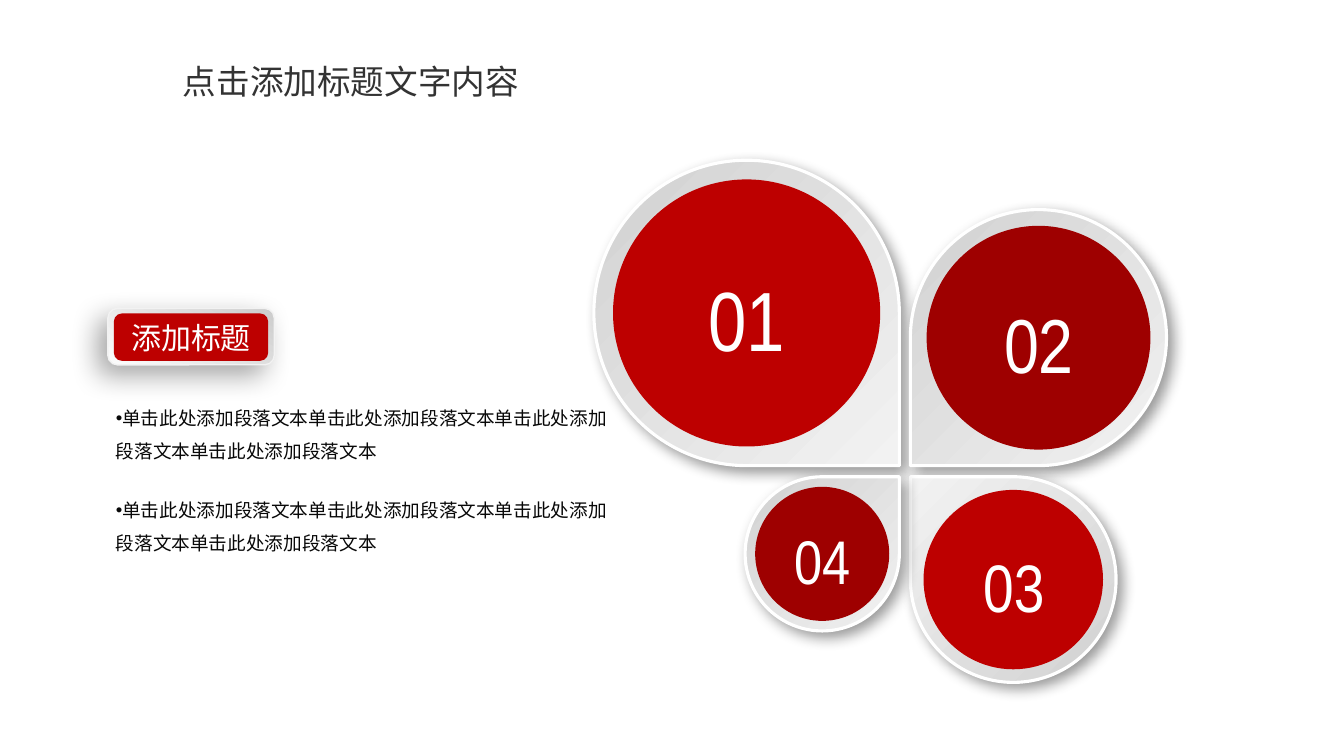
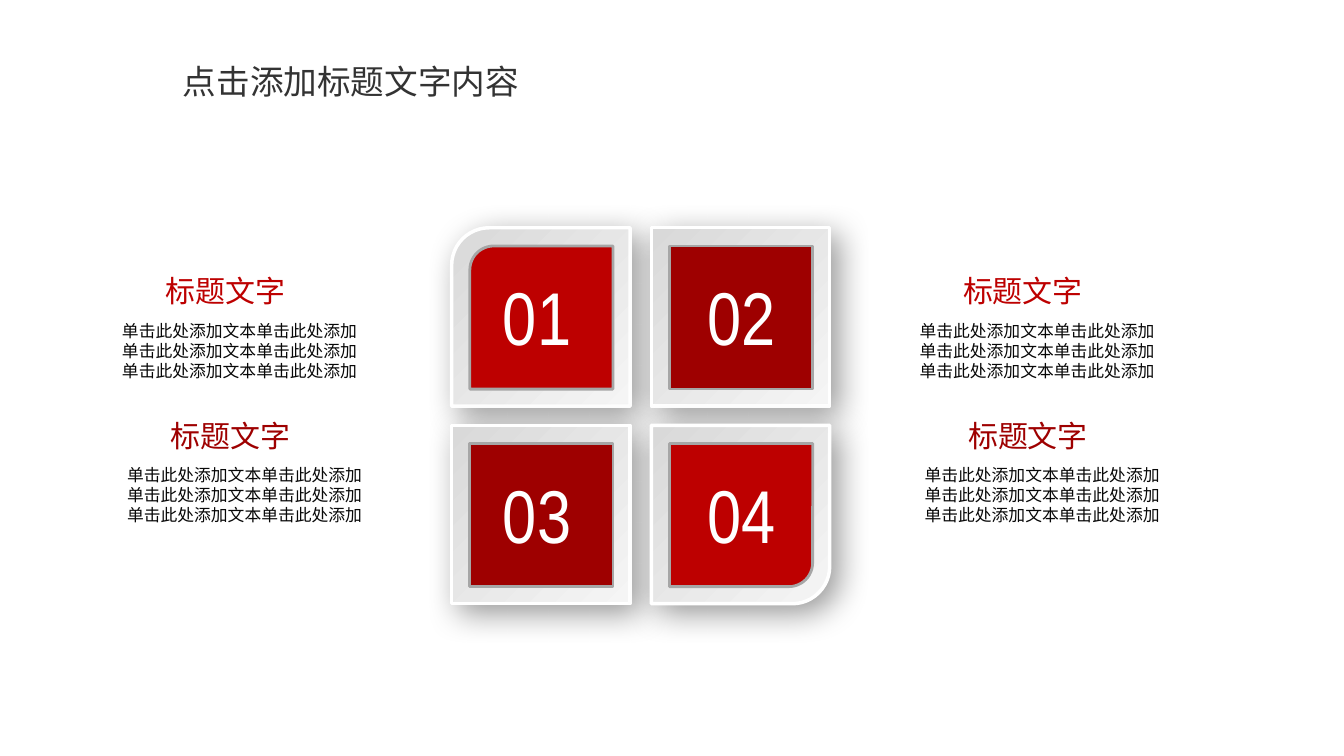
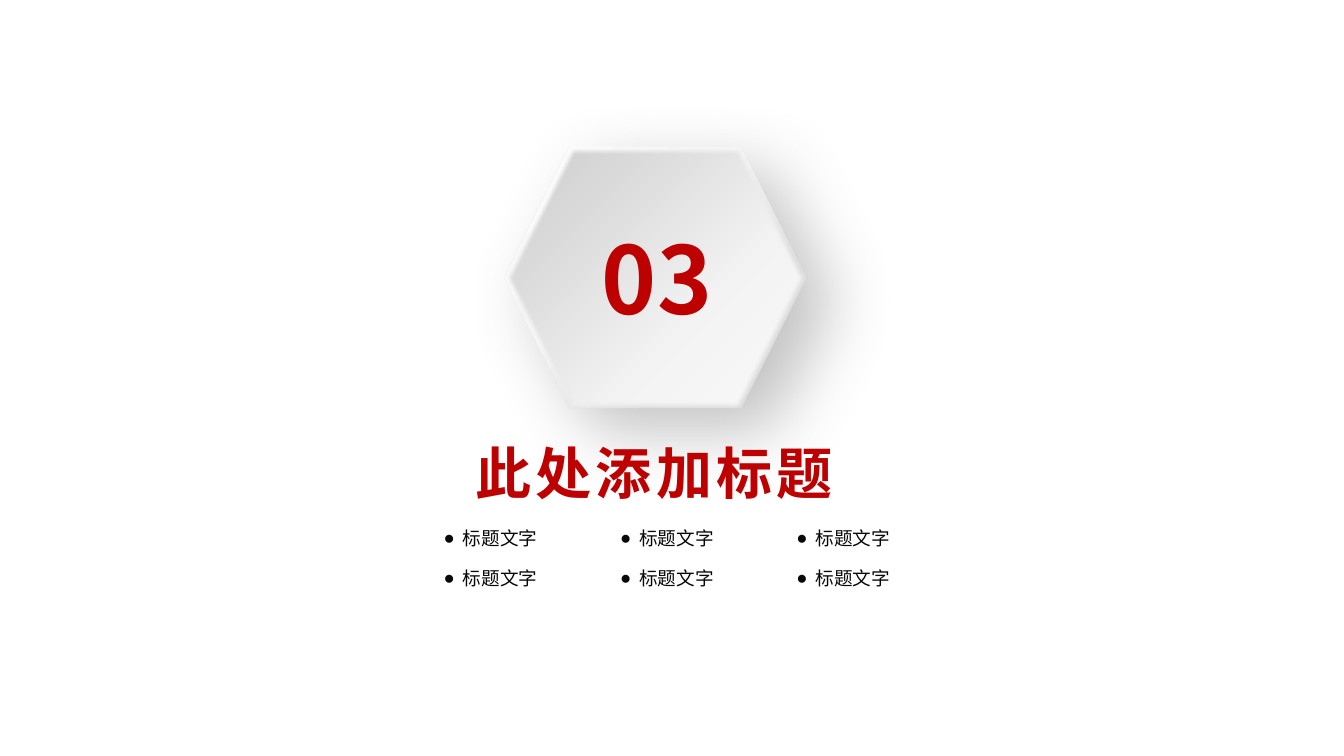
import lxml.etree
import pptx
import pptx.dml.color
import pptx.enum.shapes
import pptx.enum.text
import pptx.oxml.ns
import pptx.util

SHAPE = pptx.enum.shapes.MSO_SHAPE
ALIGN = pptx.enum.text.PP_ALIGN
qn = pptx.oxml.ns.qn

RED, DARK, WHITE, INK = "BD0000", "9E0000", "FFFFFF", "080808"
CJK, NARROW = "Noto Sans CJK SC", "Arial Narrow"
LEADING = 1.19


def px(n):
    return pptx.util.Emu(n * 9144)


def rgb(value):
    return pptx.dml.color.RGBColor.from_string(value)


def child(parent, tag, **attrs):
    e = lxml.etree.SubElement(parent, qn(tag))
    for name, value in attrs.items():
        e.set(name, str(value))
    return e


class Deck:
    """Holds the presentation, its style and the current slide."""

    def __init__(self):
        self.prs = pptx.Presentation()
        self.prs.slide_width, self.prs.slide_height = px(1333), px(750)
        self.s = None

    def slide(self, title=None):
        self.s = self.prs.slides.add_slide(self.prs.slide_layouts[6])
        if title:
            self.text(title, 102, 56, 492, 53, size=24, color="333333", align=ALIGN.CENTER)

    def gradient(self, sp, stops, angle, flip):
        if "h" in flip:
            angle = 180 - angle
        if "v" in flip:
            angle = -angle
        sp.fill.gradient()
        sp.fill.gradient_angle = -angle % 360
        gs_lst = sp._element.spPr.find(".//" + qn("a:gsLst"))
        for gs in list(gs_lst):
            gs_lst.remove(gs)
        for pos, color in stops:
            child(child(gs_lst, "a:gs", pos=pos * 1000), "a:srgbClr", val=color)

    def shape(self, kind, x, y, w, h, fill, angle=45, line=None, weight=1,
              flip="", adj=None, shadow=None, soft=0):
        sp = self.s.shapes.add_shape(kind, px(x), px(y), px(w), px(h))
        spPr = sp._element.spPr
        for axis in flip:
            spPr.find(qn("a:xfrm")).set("flip" + axis.upper(), "1")
        if adj is not None:
            sp.adjustments[0] = adj
        if isinstance(fill, str):
            sp.fill.solid()
            sp.fill.fore_color.rgb = rgb(fill)
        else:
            self.gradient(sp, fill, angle, flip)
        if line:
            sp.line.color.rgb = rgb(line)
            sp.line.width = pptx.util.Pt(weight)
        else:
            sp.line.fill.background()
        sp.shadow.inherit = False
        effects = spPr.find(qn("a:effectLst"))
        if shadow:
            color, alpha, blur, dist, direction = shadow
            e = child(effects, "a:outerShdw", blurRad=blur * 12700, dist=dist * 12700,
                      dir=direction * 60000, algn="ctr", rotWithShape=0)
            child(child(e, "a:srgbClr", val=color), "a:alpha", val=alpha * 1000)
        if soft:
            child(effects, "a:softEdge", rad=soft * 12700)
        return sp

    def text(self, text, x, y, w, h, size=12, color=INK, font=CJK, bold=False,
             align=ALIGN.LEFT, wrap=True, insets=(10, 5, 10, 5), lines=1,
             bullet=None, indent=0, spacing=0):
        tf = self.s.shapes.add_textbox(px(x), px(y), px(w), px(h)).text_frame
        tf.word_wrap = wrap
        tf.margin_left, tf.margin_top, tf.margin_right, tf.margin_bottom = map(px, insets)
        for i, row in enumerate(text.split("\n")):
            p = tf.add_paragraph() if i else tf.paragraphs[0]
            p.alignment = align
            if font == CJK:
                p.line_spacing = pptx.util.Pt(round(size * LEADING * lines, 1))
            if bullet:
                pPr = p._p.get_or_add_pPr()
                pPr.set("marL", str(px(indent)))
                pPr.set("indent", str(-px(indent)))
                child(pPr, "a:buFont", typeface="Arial")
                child(pPr, "a:buChar", char=bullet)
            r = p.add_run()
            r.text = row
            r.font.size = pptx.util.Pt(size)
            r.font.name = font
            r.font.bold = bold
            r.font.color.rgb = rgb(color)
            rPr = r._r.get_or_add_rPr()
            child(rPr, "a:ea", typeface=font)
            if spacing:
                rPr.set("spc", str(spacing * 100))

    def petal(self, label, x, y, size, color, points, flip, angle):
        self.shape(SHAPE.TEAR, x, y, size, size, [(0, "D1D1D1"), (100, "F2F2F2")], angle,
                   line=WHITE, weight=2.25, flip=flip, shadow=("000000", 40, 10, 5, 45))
        inset = round(size / 16)
        disc = size - 2 * inset
        self.shape(SHAPE.OVAL, x + inset, y + inset, disc, disc, color)
        half = size // 2
        self.text(label, x + half - 72, y + half + 5 - round(points * 0.92), 145,
                  round(points * 1.85), size=points, color=WHITE, font=NARROW,
                  align=ALIGN.CENTER)

    def tile(self, label, x, y, kind, flip, color, label_dx):
        adj = None if kind == SHAPE.RECTANGLE else 0.21
        self.shape(kind, x, y, 177, 177, [(0, "D9D9D9"), (100, "F5F5F5")], line=WHITE,
                   weight=2.5, flip=flip, adj=adj, shadow=("000000", 40, 23, 8, 45))
        self.shape(kind, x + 18, y + 18, 142, 142, color, line="A6A6A6", weight=2, flip=flip)
        self.text(label, x + label_dx, y + 38, 105, 100, size=53.4, color=WHITE, font=NARROW)

    def caption(self, x, y, color):
        self.text("标题文字", x + 43, y, 119, 38, size=21.4, color=color,
                  align=ALIGN.CENTER, wrap=False, insets=(0, 0, 0, 0))
        self.text("\n".join(["单击此处添加文本单击此处添加"] * 3), x, y + 47, 258, 66,
                  insets=(0, 0, 10, 5))


def petals_slide(deck):
    deck.slide("点击添加标题文字内容")
    for label, size, right, below, color, points, flip, angle in (
        ("01", 303, False, False, RED, 60, "v", 45),
        ("02", 254, True, False, DARK, 54.6, "hv", 45),
        ("03", 204, True, True, RED, 48, "h", 225),
        ("04", 153, False, True, DARK, 44, "", 45),
    ):
        x = 903 if right else 892 - size
        y = 473 if below else 462 - size
        deck.petal(label, x, y, size, color, points, flip, angle)
    deck.shape(SHAPE.ROUNDED_RECTANGLE, 107, 306, 165, 56, [(0, "CCCCCC"), (100, "FCFCFC")],
               120, line="F2F2F2", shadow=("000000", 34, 20, 10, 136))
    deck.shape(SHAPE.ROUNDED_RECTANGLE, 113, 311, 153, 47, RED)
    deck.text("添加标题", 120, 312, 139, 48, size=21.4, color=WHITE,
              align=ALIGN.CENTER, wrap=False)
    for y in (388, 479):
        deck.text("单击此处添加段落文本" * 4, 105, y, 525, 77, size=13.3, lines=1.5, bullet="•")


def tiles_slide(deck):
    deck.slide("点击添加标题文字内容")
    for i, (kind, flip, color) in enumerate((
        (SHAPE.ROUND_1_RECTANGLE, "h", RED),
        (SHAPE.RECTANGLE, "", DARK),
        (SHAPE.RECTANGLE, "", DARK),
        (SHAPE.ROUND_1_RECTANGLE, "v", RED),
    )):
        row, col = divmod(i, 2)
        deck.tile(f"0{i + 1}", 448 + 198 * col, 226 + 196 * row, kind, flip, color, 41 + 5 * col)
    for col in range(2):
        for row, color in enumerate((RED, DARK)):
            deck.caption(121 + 791 * col + 5 * row, 271 + 143 * row, color)


def section_slide(deck):
    deck.slide()
    box = (500, 146, 300, 259)
    deck.shape(SHAPE.HEXAGON, *box,
               [(0, "DEDEDE"), (30, "E0E0E0"), (61, "F6F6F6"), (100, "FFFFFF")], 225,
               shadow=("696969", 40, 49, 25, 40))
    deck.shape(SHAPE.HEXAGON, *box,
               [(0, "CBCBCB"), (32, "DEDEDE"), (64, "F3F3F3"), (100, "F9F9F9")], soft=3)
    deck.text("03", 597, 220, 218, 119, size=66.7, color=RED, bold=True, insets=(0, 0, 0, 0))
    deck.text("此处添加标题", 462, 431, 378, 81, size=40, color=RED, bold=True,
              wrap=False, spacing=3)
    for col in range(3):
        for row in range(2):
            deck.text("标题文字", 440 + 175 * col, 523 + 40 * row, 293, 24, size=13.3,
                      insets=(0, 0, 0, 0), bullet="●", indent=19)


def main():
    deck = Deck()
    petals_slide(deck)
    tiles_slide(deck)
    section_slide(deck)
    deck.prs.save("out.pptx")


if __name__ == "__main__":
    main()
